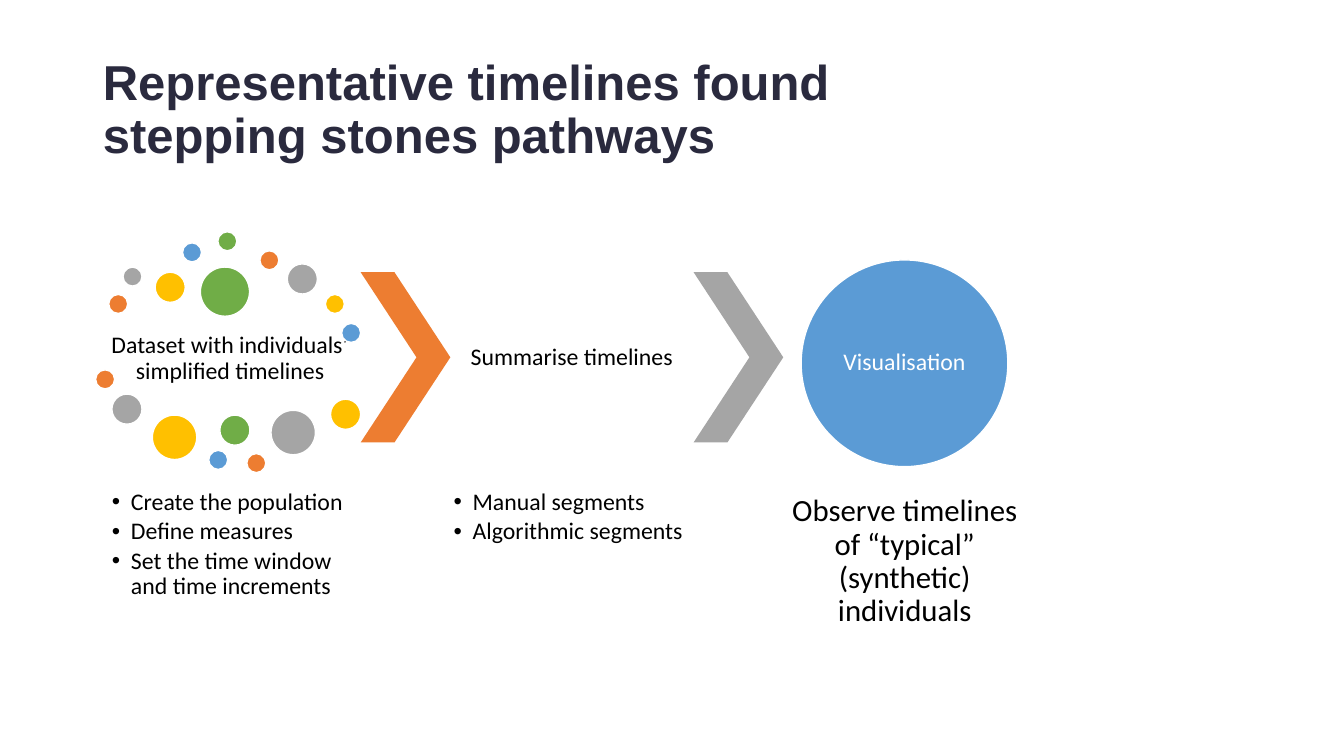
from itertools import cycle

from lxml import etree
from pptx import Presentation
from pptx.dml.color import RGBColor
from pptx.enum.shapes import MSO_SHAPE
from pptx.enum.text import MSO_ANCHOR, MSO_AUTO_SIZE, PP_ALIGN
from pptx.oxml.ns import qn
from pptx.util import Cm, Pt

ELLIPSE, CHEVRON = MSO_SHAPE.OVAL, MSO_SHAPE.CHEVRON
TOP, MIDDLE = MSO_ANCHOR.TOP, MSO_ANCHOR.MIDDLE
LEFT, CENTER = PP_ALIGN.LEFT, PP_ALIGN.CENTER
NO_AUTOFIT = MSO_AUTO_SIZE.NONE

COLOURS = {
    "title": "2A2A3E", "text": "000000", "white": "FFFFFF",
    "orange": "ED7D31", "grey": "A5A5A5", "gold": "FFC000",
    "blue": "5B9BD5", "green": "70AD47",
}
DOT_COLOURS = ("orange", "grey", "gold", "blue", "green")

# Left, top and diameter in cm; colours follow DOT_COLOURS in turn.
SMALL, MEDIUM, LARGE, LARGEST = 0.48, 0.76, 1.12, 1.24
DOTS = [
    (2.74, 7.42, SMALL), (3.10, 6.73, SMALL), (3.91, 6.86, MEDIUM),
    (4.60, 6.12, SMALL), (5.49, 5.84, SMALL), (6.55, 6.32, SMALL),
    (7.24, 6.65, MEDIUM), (8.20, 7.42, SMALL), (8.61, 8.15, SMALL),
    (5.05, 6.73, LARGEST), (2.41, 9.32, SMALL), (2.82, 9.93, MEDIUM),
    (3.84, 10.46, LARGE), (5.26, 11.35, SMALL), (5.54, 10.46, MEDIUM),
    (6.22, 11.43, SMALL), (6.83, 10.34, LARGE), (8.33, 10.06, MEDIUM),
]

COLUMN_WIDTH = 6.12
DATASET_LEFT, SUMMARY_LEFT, RESULT_LEFT = 2.74, 11.35, 19.74
DETAIL_TOP, DETAIL_HEIGHT = 12.27, 3.78
ARROW_TOP, ARROW_WIDTH, ARROW_HEIGHT = 6.86, 2.26, 4.29


def rgb(name):
    return RGBColor.from_string(COLOURS[name])


def add_bullet(paragraph, indent=0.48):
    properties = paragraph._p.get_or_add_pPr()
    properties.set("marL", str(Cm(indent)))
    properties.set("indent", str(-Cm(indent)))
    etree.SubElement(properties, qn("a:buChar")).set("char", "•")


def write(frame, *lines, size=17, font="Calibri", colour="text", bold=False,
          align=CENTER, anchor=MIDDLE, inset=0.05, after=0.35, bullets=False):
    """Fill a text frame with one paragraph per line; after is a share of size."""
    frame.word_wrap = True
    frame.auto_size = NO_AUTOFIT
    frame.vertical_anchor = anchor
    frame.margin_left = frame.margin_right = Cm(inset)
    frame.margin_top = frame.margin_bottom = Cm(inset)
    for number, line in enumerate(lines):
        paragraph = frame.add_paragraph() if number else frame.paragraphs[0]
        paragraph.text = line
        if bullets:
            add_bullet(paragraph)
        paragraph.alignment = align
        paragraph.line_spacing = 0.9
        paragraph.space_before = Pt(0)
        paragraph.space_after = Pt(round(size * after, 1))
        paragraph.font.name = font
        paragraph.font.size = Pt(size)
        paragraph.font.bold = bold
        paragraph.font.color.rgb = rgb(colour)


class ProcessSlide:
    def __init__(self, presentation):
        two_content = presentation.slide_layouts[3]
        self.slide = presentation.slides.add_slide(two_content)
        self.shapes = self.slide.shapes

    def place(self, placeholder, left, top, width, height):
        placeholder.left, placeholder.top = Cm(left), Cm(top)
        placeholder.width, placeholder.height = Cm(width), Cm(height)
        return placeholder.text_frame

    def title(self, text):
        frame = self.place(self.shapes.title, 2.34, 1.27, 23.6, 3.05)
        write(frame, text, size=35, font="Arial", colour="title", bold=True,
              align=LEFT, inset=0.25, after=0)
        frame.margin_top = frame.margin_bottom = Cm(0.13)

    def bullet_list(self, index, left, *lines):
        frame = self.place(self.slide.placeholders[index], left, DETAIL_TOP,
                           COLUMN_WIDTH, DETAIL_HEIGHT)
        write(frame, *lines, align=LEFT, anchor=TOP, inset=0.08, after=0.15,
              bullets=True)

    def caption(self, text, left, top, height, **style):
        box = self.shapes.add_textbox(Cm(left), Cm(top), Cm(COLUMN_WIDTH), Cm(height))
        write(box.text_frame, text, **style)

    def solid(self, kind, left, top, width, height, colour):
        shape = self.shapes.add_shape(kind, Cm(left), Cm(top), Cm(width), Cm(height))
        shape.shadow.inherit = False
        shape.fill.solid()
        shape.fill.fore_color.rgb = rgb(colour)
        shape.line.fill.background()
        return shape

    def circle(self, left, top, diameter, colour):
        shape = self.solid(ELLIPSE, left, top, diameter, diameter, colour)
        shape.line.color.rgb = rgb("white")
        shape.line.width = Pt(1)
        return shape

    def arrow(self, left, colour):
        shape = self.solid(CHEVRON, left, ARROW_TOP, ARROW_WIDTH, ARROW_HEIGHT, colour)
        shape.adjustments[0] = 0.623


def main():
    presentation = Presentation()
    presentation.slide_width, presentation.slide_height = Cm(33.87), Cm(19.05)
    page = ProcessSlide(presentation)
    page.title("Representative timelines found stepping stones pathways")

    page.caption("Dataset with individuals’ simplified timelines",
                 DATASET_LEFT, 8.03, 2.01)
    page.bullet_list(1, DATASET_LEFT, "Create the population", "Define measures",
                     "Set the time window and time increments")
    for (left, top, diameter), colour in zip(DOTS, cycle(DOT_COLOURS)):
        page.circle(left, top, diameter, colour)

    page.arrow(9.09, "orange")
    page.caption("Summarise timelines", SUMMARY_LEFT, ARROW_TOP, ARROW_HEIGHT)
    page.bullet_list(2, SUMMARY_LEFT, "Manual segments", "Algorithmic segments")

    page.arrow(17.48, "grey")
    visualisation = page.circle(20.19, 6.55, 5.21, "blue")
    write(visualisation.text_frame, "Visualisation", colour="white", inset=0)
    page.caption("Observe timelines of “typical” (synthetic) individuals",
                 RESULT_LEFT, DETAIL_TOP, DETAIL_HEIGHT, size=22, inset=0.08)

    presentation.save("out.pptx")


if __name__ == "__main__":
    main()
